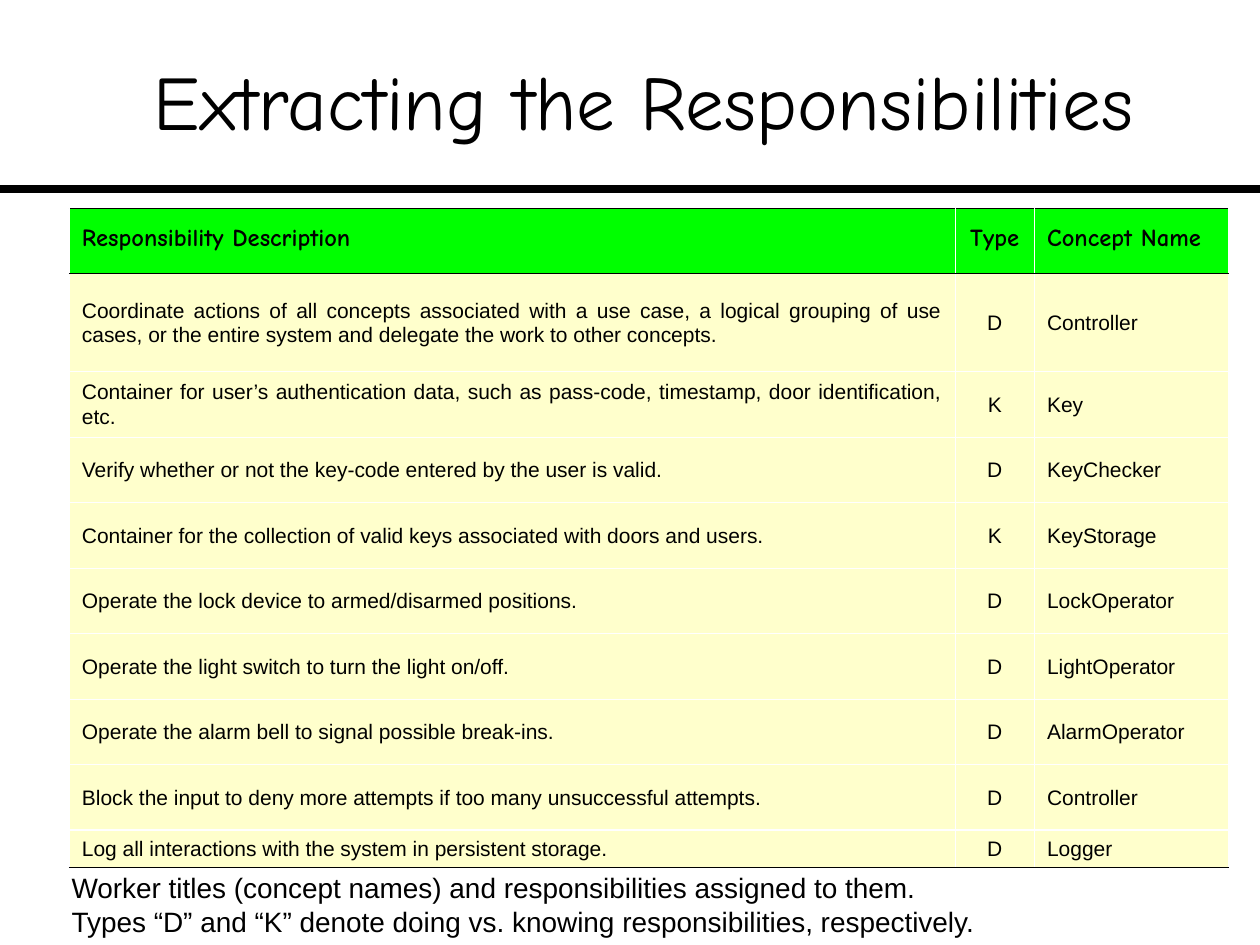
from dataclasses import dataclass

from lxml import etree
from pptx import Presentation
from pptx.dml.color import RGBColor
from pptx.enum import shapes, text
from pptx.oxml import ns
from pptx.util import Inches, Pt


@dataclass(frozen=True)
class Theme:
    ink: str = "000000"
    grid: str = "FFFFFF"
    header_fill: str = "00FF00"
    body_fill: str = "FFFFCC"
    heading_font: str = "Comic Neue"
    body_font: str = "Arial"
    title_size: int = 44
    header_size: int = 14
    cell_size: int = 12
    note_size: int = 16
    thin: float = 0.45
    thick: float = 1.47


theme = Theme()


def style(paragraph, size, font, bold=False):
    for run in paragraph.runs:
        run.font.size = Pt(size)
        run.font.name = font
        run.font.bold = bold
        run.font.color.rgb = RGBColor.from_string(theme.ink)


def set_borders(cell, top, bottom):
    """Draw the four cell edges; top and bottom are (colour, width) pairs."""
    side = (theme.grid, theme.thin)
    properties = cell._tc.get_or_add_tcPr()
    edges = (("lnL", side), ("lnR", side), ("lnT", top), ("lnB", bottom))
    for position, (tag, (color, width)) in enumerate(edges):
        edge = etree.Element(ns.qn(f"a:{tag}"), w=str(int(Pt(width))))
        fill = etree.SubElement(edge, ns.qn("a:solidFill"))
        etree.SubElement(fill, ns.qn("a:srgbClr"), val=color)
        properties.insert(position, edge)


rows = [
    ("Responsibility Description", "Type", "Concept Name"),
    ("Coordinate actions of all concepts associated with a use case, a logical grouping "
     "of use cases, or the entire system and delegate the work to other concepts.",
     "D", "Controller"),
    ("Container for user’s authentication data, such as pass-code, timestamp, "
     "door identification, etc.", "K", "Key"),
    ("Verify whether or not the key-code entered by the user is valid.", "D", "KeyChecker"),
    ("Container for the collection of valid keys associated with doors and users.",
     "K", "KeyStorage"),
    ("Operate the lock device to armed/disarmed positions.", "D", "LockOperator"),
    ("Operate the light switch to turn the light on/off.", "D", "LightOperator"),
    ("Operate the alarm bell to signal possible break-ins.", "D", "AlarmOperator"),
    ("Block the input to deny more attempts if too many unsuccessful attempts.",
     "D", "Controller"),
    ("Log all interactions with the system in persistent storage.", "D", "Logger"),
]
column_widths = [7.03, 0.63, 1.54]
row_heights = [0.52, 0.78] + [0.52] * 7 + [0.26]

prs = Presentation()
prs.slide_width, prs.slide_height = Inches(10), Inches(7.5)
slide = prs.slides.add_slide(prs.slide_layouts[5])

# Title and the rule below it
title = slide.shapes.title
title.left, title.top = Inches(0.42), Inches(0.17)
title.width, title.height = Inches(9.38), Inches(1.25)
title_frame = title.text_frame
title_frame.text = "Extracting the Responsibilities"
title_frame.margin_left = title_frame.margin_right = 0
title_frame.vertical_anchor = text.MSO_ANCHOR.MIDDLE
title_frame.auto_size = text.MSO_AUTO_SIZE.NONE
title_frame.paragraphs[0].alignment = text.PP_ALIGN.CENTER
style(title_frame.paragraphs[0], theme.title_size, theme.heading_font)

rule = slide.shapes.add_connector(
    shapes.MSO_CONNECTOR.STRAIGHT, Inches(0), Inches(1.5), Inches(10), Inches(1.5))
rule.line.color.rgb = RGBColor.from_string(theme.ink)
rule.line.width = Pt(4.5)
etree.SubElement(rule._element.spPr, ns.qn("a:effectLst"))

# Responsibilities table
responsibilities = slide.shapes.add_table(
    len(rows), len(column_widths), Inches(0.55), Inches(1.65),
    Inches(sum(column_widths)), Inches(sum(row_heights))).table
responsibilities.horz_banding = False
for column, width in zip(responsibilities.columns, column_widths):
    column.width = Inches(width)
for row, height in zip(responsibilities.rows, row_heights):
    row.height = Inches(height)

# Horizontal lines from the top of the header to the foot of the last row
outer = (theme.ink, theme.thin)
inner = (theme.grid, theme.thin)
row_lines = [outer, outer] + [inner] * 7 + [(theme.grid, theme.thick), outer]

for r, entries in enumerate(rows):
    is_header = r == 0
    for c, entry in enumerate(entries):
        cell = responsibilities.cell(r, c)
        cell.text = entry
        cell.vertical_anchor = text.MSO_ANCHOR.MIDDLE
        cell.fill.solid()
        cell.fill.fore_color.rgb = RGBColor.from_string(
            theme.header_fill if is_header else theme.body_fill)
        set_borders(cell, row_lines[r], row_lines[r + 1])
        paragraph = cell.text_frame.paragraphs[0]
        paragraph.alignment = text.PP_ALIGN.CENTER if c == 1 else text.PP_ALIGN.JUSTIFY
        paragraph.line_spacing = Pt(14)
        if is_header:
            style(paragraph, theme.header_size, theme.heading_font, bold=True)
        else:
            style(paragraph, theme.cell_size, theme.body_font)

# Explanatory note
note = slide.shapes.add_textbox(Inches(0.47), Inches(6.86), Inches(9.33), Inches(0.64))
note.text_frame.word_wrap = True
note.text_frame.auto_size = text.MSO_AUTO_SIZE.SHAPE_TO_FIT_TEXT
note.text_frame.text = (
    "Worker titles (concept names) and responsibilities assigned to them.\n"
    "Types “D” and “K” denote doing vs. knowing responsibilities, respectively.")
for paragraph in note.text_frame.paragraphs:
    style(paragraph, theme.note_size, theme.body_font)

prs.save("out.pptx")
